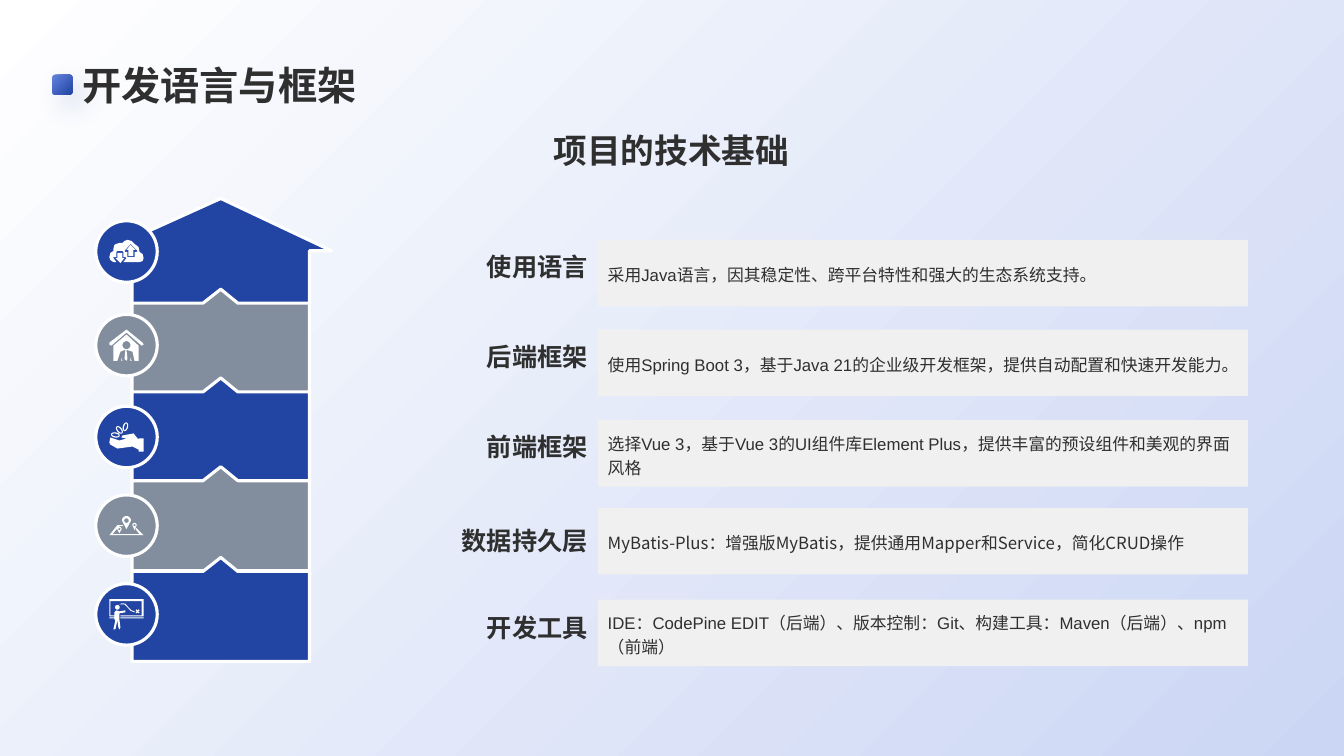
from math import cos, sin, pi, radians
from lxml import etree
from pptx import Presentation
from pptx.dml.color import RGBColor
from pptx.enum import shapes as kinds, text as styles
from pptx.oxml import ns
from pptx.util import Pt

BLUE = RGBColor(0x22, 0x44, 0xA2)
LIGHT_BLUE = RGBColor(0x63, 0x84, 0xDE)
GREY = RGBColor(0x82, 0x8E, 0x9E)
PANEL = RGBColor(0xF0, 0xF0, 0xF0)
INK = RGBColor(0x2F, 0x2F, 0x2F)
WHITE = RGBColor(0xFF, 0xFF, 0xFF)
SKY = RGBColor(0xCB, 0xD6, 0xF4)
CJK = "Noto Sans CJK SC"


def oval(x, y, rx, ry, tilt=0):
    """Outline of a tilted oval as 24 points."""
    a = radians(tilt)
    turns = [2 * pi * i / 24 for i in range(24)]
    return [(x + rx * cos(t) * cos(a) - ry * sin(t) * sin(a),
             y + rx * cos(t) * sin(a) + ry * sin(t) * cos(a)) for t in turns]


def coin(x, y, tilt):
    return [oval(x, y, 4.4, 2.6, tilt), oval(x, y, 3.4, 1.4, tilt)]


def pin(x, y, r, tip):
    arc = [(x - r * cos(pi * i / 12), y - r * sin(pi * i / 12)) for i in range(13)]
    return [arc + [(x, tip)], oval(x, y, r / 2, r / 2)]


def bar(x1, y1, x2, y2):
    return [(x1, y1), (x2, y1), (x2, y2), (x1, y2)]


# Content: icons as outlines on a grid 34 units wide
CLOUD = [
    [(18, 0), (22, 1), (25, 4), (29, 7), (30, 12), (33, 14), (34, 18), (33, 21), (30, 22),
     (14, 22), (17, 18), (16, 17), (14, 17), (14, 12), (13, 11), (8, 11), (7, 12), (7, 17),
     (4, 17), (4, 18), (7, 22), (4, 22), (1, 20), (0, 17), (1, 13), (4, 11), (4, 9),
     (5, 5), (7, 4), (10, 3), (13, 3), (15, 1)],
    [(21, 4), (15, 11), (16, 12), (18, 12), (18, 17), (25, 17), (25, 12), (27, 12), (28, 11)],
    [(21, 5), (26, 10), (24, 10), (24, 16), (19, 16), (19, 10), (17, 10)],
    [(8, 13), (13, 13), (13, 18), (15, 18), (11, 23), (6, 18), (8, 18)],
]
HOUSE = [
    [(17, 0), (33, 13), (34, 15), (32, 16), (17, 3), (2, 16), (0, 15), (0, 13)],
    [(17, 5), (29, 16), (29, 31), (25, 31), (23, 22), (17, 20), (18, 29), (17, 31),
     (15, 29), (16, 20), (11, 22), (8, 31), (4, 31), (4, 16)],
    oval(17, 15.5, 4, 4),
    [(21, 28), (22, 31), (21, 31)],
    [(12, 28), (13, 31), (12, 31)],
]
HAND = [
    [(12, 15), (13, 13), (24, 11), (29, 17), (29, 16), (34, 16), (34, 29), (29, 29),
     (29, 27), (23, 24), (8, 26), (1, 22), (0, 20), (1, 15), (10, 18), (17, 16)],
    *coin(6, 12.5, 10), *coin(10, 7.5, 50), *coin(16, 4.4, 105),
]
MAP = [
    [(8, 9), (13, 9), (14, 10), (10, 10), (3, 18), (30, 18), (26, 13), (27, 12),
     (34, 19), (0, 19)],
    *pin(17, 4.5, 4.5, 13), *pin(10, 13, 2.2, 17), *pin(25, 9, 2.2, 14),
]
TEACHER = [
    [(0, 0), (34, 0), (34, 17), (11, 17), (11, 16), (32, 16), (32, 2), (1, 2), (1, 16),
     (5, 16), (5, 17), (0, 17)],
    bar(11, 18, 34, 19), bar(0, 18, 5, 19),
    oval(8, 8, 2.3, 2.3),
    [(16, 11), (16, 13), (10, 14), (10, 20), (11, 28), (10, 30), (9, 28), (8, 21),
     (6, 30), (4, 30), (6, 21), (5, 20), (5, 13), (7, 11), (10, 12)],
    [(10, 5), (13, 4), (16, 4.5), (19, 8), (22, 11), (25, 12), (25, 13), (21, 11.5),
     (18, 8), (15, 5)],
    [(27, 10), (28, 11.2), (29, 10), (30, 11), (28.8, 12), (30, 13.5), (29, 14),
     (28, 13), (27, 14), (26, 13.5), (27.2, 12), (26, 11)],
]

TITLE = "开发语言与框架"
SUBTITLE = "项目的技术基础"
# Heading, description, its Latin font, icon, tops of heading, disc, panel and step
LAYERS = [
    ("使用语言", "采用Java语言，因其稳定性、跨平台特性和强大的生态系统支持。",
     "Arial", CLOUD, 166.3, 157.7, 171.4, 141.8),
    ("后端框架", "使用Spring Boot 3，基于Java 21的企业级开发框架，提供自动配置和快速开发能力。",
     "Arial", HOUSE, 231.1, 224.6, 235.4, 206.6),
    ("前端框架", "选择Vue 3，基于Vue 3的UI组件库Element Plus，提供丰富的预设组件和美观的界面风格",
     "Arial", HAND, 295.2, 290.2, 300.2, 270),
    ("数据持久层", "MyBatis-Plus：增强版MyBatis，提供通用Mapper和Service，简化CRUD操作",
     CJK, MAP, 362.2, 353.5, 362.9, 333.4),
    ("开发工具", "IDE：CodePine EDIT（后端）、版本控制：Git、构建工具：Maven（后端）、npm（前端）",
     "Arial", TEACHER, 424.1, 416.9, 428.4, 398.2),
]
# Step outlines relative to the left of the column and the top of the step
ROOF = [(79.2, 37.4), (0, 0), (-82.8, 37.4), (-63.4, 37.4), (-63.4, 77), (63.4, 77), (63.4, 37.4)]
STEP = [(12.2, 10), (0, 0), (-12.7, 10), (-63.4, 10), (-63.4, 74.2), (63.4, 74.2), (63.4, 10)]
COLUMN_CENTER = 157.7
DISC_LEFT, DISC = 68.4, 43.9
UNIT = 0.72

deck = Presentation()
deck.slide_width, deck.slide_height = Pt(960), Pt(540)
slide = deck.slides.add_slide(deck.slide_layouts[6])


def gradient(fill, first, last, angle):
    fill.gradient()
    fill.gradient_angle = angle
    for stop, color in zip(fill.gradient_stops, (first, last)):
        stop.color.rgb = color


def paint(shape, color, outlined=False):
    shape.shadow.inherit = False
    shape.fill.solid()
    shape.fill.fore_color.rgb = color
    if outlined:
        shape.line.color.rgb = WHITE
        shape.line.width = Pt(2.25)
    else:
        shape.line.fill.background()
    return shape


def preset(kind, left, top, width, height):
    return slide.shapes.add_shape(kind, Pt(left), Pt(top), Pt(width), Pt(height))


def outline(contours, left, top, scale=1):
    loops = [[(Pt(left + x * scale), Pt(top + y * scale)) for x, y in c] for c in contours]
    builder = slide.shapes.build_freeform(*loops[0][0], scale=1.0)
    for number, loop in enumerate(loops):
        if number:
            builder.move_to(*loop[0])
        builder.add_line_segments(loop[1:], close=True)
    return builder.convert_to_shape()


def write(words, at=None, shape=None, size=12, bold=False, font="Arial",
          align=styles.PP_ALIGN.LEFT, anchor=styles.MSO_ANCHOR.MIDDLE, spacing=1.0):
    shape = shape or slide.shapes.add_textbox(*map(Pt, at))
    frame = shape.text_frame
    frame.word_wrap = True
    frame.vertical_anchor = anchor
    line = frame.paragraphs[0]
    line.alignment, line.line_spacing = align, spacing
    run = line.add_run()
    run.text = words
    run.font.size, run.font.bold, run.font.name = Pt(size), bold, font
    run.font.color.rgb = INK
    etree.SubElement(run.font._element, ns.qn("a:ea"), typeface=CJK)


# Background and title marker
gradient(slide.background.fill, SKY, WHITE, 135)
marker = preset(kinds.MSO_SHAPE.ROUNDED_RECTANGLE, 37.4, 53.3, 14.4, 14.4)
paint(marker, BLUE)
gradient(marker.fill, LIGHT_BLUE, BLUE, 315)
effects = marker._element.spPr.find(ns.qn("a:effectLst"))
glow = etree.SubElement(effects, ns.qn("a:outerShdw"), blurRad=str(Pt(20)), dist=str(Pt(10)),
                        dir="2700000", algn="ctr", rotWithShape="0")
tint = etree.SubElement(glow, ns.qn("a:srgbClr"), val=str(BLUE))
etree.SubElement(tint, ns.qn("a:alpha"), val="20000")

# Headings
write(TITLE, (51.8, 10.1, 855.4, 70.6), size=28, bold=True, anchor=styles.MSO_ANCHOR.BOTTOM)
write(SUBTITLE, (51.8, 89.3, 855.4, 36), size=24, bold=True, align=styles.PP_ALIGN.CENTER)

# Arrow steps with icons, headings and descriptions
for row, layer in enumerate(LAYERS):
    heading, description, font, icon, heading_top, disc_top, panel_top, step_top = layer
    color = GREY if row % 2 else BLUE
    paint(outline([STEP if row else ROOF], COLUMN_CENTER, step_top), color, outlined=True)
    write(heading, (236.9, heading_top, 190, 47.5), size=18, bold=True,
          align=styles.PP_ALIGN.RIGHT)
    paint(preset(kinds.MSO_SHAPE.OVAL, DISC_LEFT, disc_top, DISC, DISC), color, outlined=True)
    icon_height = max(y for contour in icon for _, y in contour) * UNIT
    icon_top = disc_top + (DISC - icon_height) / 2
    paint(outline(icon, DISC_LEFT + (DISC - 34 * UNIT) / 2, icon_top, UNIT), WHITE)
    panel = paint(preset(kinds.MSO_SHAPE.RECTANGLE, 427, panel_top, 464.4, 47.5), PANEL)
    write(description, shape=panel, font=font, spacing=1.2)

deck.save("out.pptx")
